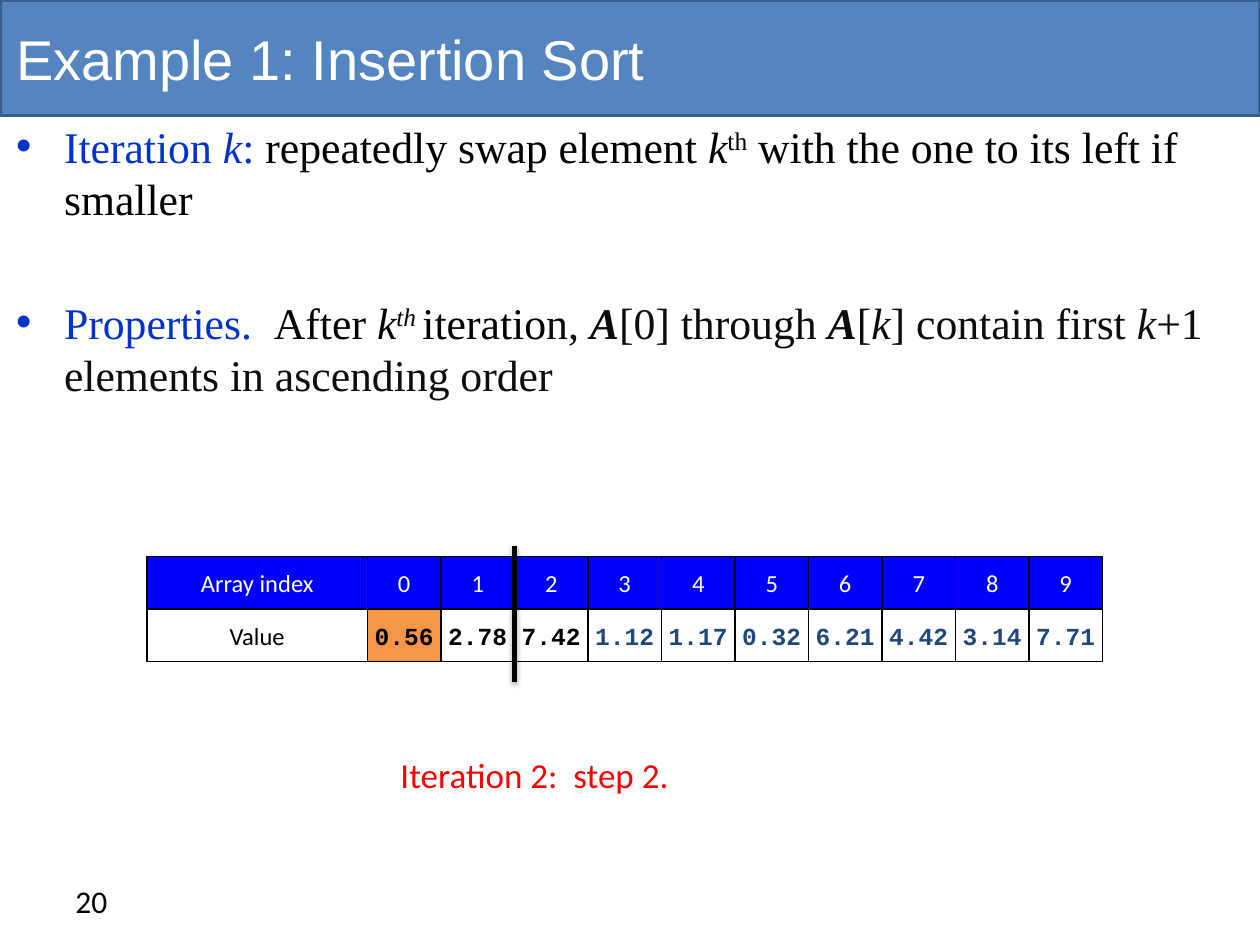
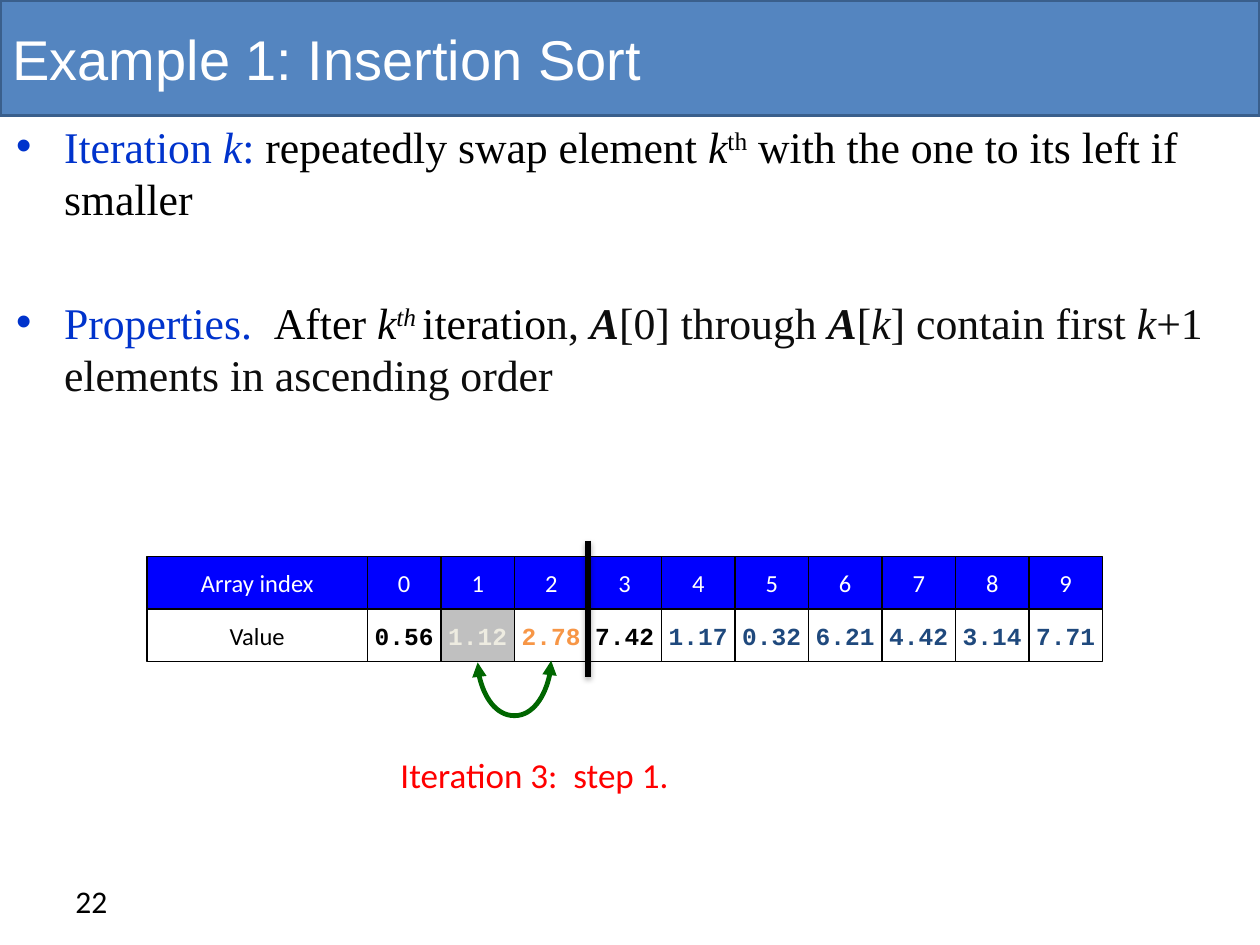
from lxml import etree
from pptx import Presentation
from pptx.dml.color import RGBColor
from pptx.enum.shapes import MSO_CONNECTOR as Connector, MSO_SHAPE as Shape
from pptx.enum.text import MSO_ANCHOR as Anchor, PP_ALIGN as Align
from pptx.oxml import parse_xml
from pptx.oxml.ns import nsdecls, qn
from pptx.util import Inches, Pt

WHITE = RGBColor(0xFF, 0xFF, 0xFF)
BLACK = RGBColor(0x00, 0x00, 0x00)
INK = RGBColor(0x0D, 0x0D, 0x0D)
BAND_BLUE = RGBColor(0x54, 0x85, 0xC0)
BAND_EDGE = RGBColor(0x3A, 0x5F, 0x8C)
TERM_BLUE = RGBColor(0x00, 0x33, 0xCC)
HEADER_BLUE = RGBColor(0x00, 0x00, 0xFF)
UNSORTED_BLUE = RGBColor(0x1F, 0x49, 0x7D)
ORANGE = RGBColor(0xF7, 0x96, 0x46)
GREY = RGBColor(0xC0, 0xC0, 0xC0)
CREAM = RGBColor(0xEE, 0xEC, 0xE1)
GREEN = RGBColor(0x00, 0x66, 0x00)
RED = RGBColor(0xFF, 0x00, 0x00)

BAND_HEIGHT = 11 / 12
LABEL_WIDTH = 1.75
CELL_WIDTH = 7 / 12
ROW_HEIGHT = 5 / 12
ARRAY_LEFT, ARRAY_TOP = 7 / 6, 53 / 12
DIVIDER_HEIGHT = 1.08
SWAP_DEPTH = 0.44

ITERATION_RULE = [
    ("Iteration ", TERM_BLUE, ""), ("k", TERM_BLUE, "i"), (": ", TERM_BLUE, ""),
    ("repeatedly swap element ", BLACK, ""), ("k", BLACK, "i"), ("th", BLACK, "^"),
    (" with the one to its left if smaller", BLACK, ""),
]
PROPERTIES = [
    ("Properties.  ", TERM_BLUE, ""), ("After ", BLACK, ""), ("k", BLACK, "i"),
    ("th ", BLACK, "i^"), ("iteratio", BLACK, ""), ("n, ", INK, ""), ("A", INK, "bi"),
    ("[0] through ", INK, ""), ("A", INK, "bi"), ("[", INK, ""), ("k", INK, "i"),
    ("] contain first ", INK, ""), ("k", INK, "i"),
    ("+1 elements in ascending order", INK, ""),
]


def style_font(font, name, size, color, bold=False, italic=False):
    font.name = name
    font.size = Pt(size)
    font.color.rgb = color
    font.bold = bold
    font.italic = italic


def add_label(slide, box, text, name, size, color, anchor=Anchor.TOP):
    label = slide.shapes.add_textbox(*map(Inches, box))
    frame = label.text_frame
    frame.word_wrap = True
    frame.vertical_anchor = anchor
    frame.text = text
    style_font(frame.paragraphs[0].runs[0].font, name, size, color)


def add_box(slide, box, fill, edge, edge_width):
    rect = slide.shapes.add_shape(Shape.RECTANGLE, *map(Inches, box))
    rect.shadow.inherit = False
    if fill is None:
        rect.fill.background()
    else:
        rect.fill.solid()
        rect.fill.fore_color.rgb = fill
    rect.line.color.rgb = edge
    rect.line.width = Pt(edge_width)
    return rect


def add_title_band(slide, title_left):
    add_box(slide, (0, 0, 10, BAND_HEIGHT), BAND_BLUE, BAND_EDGE, 2)
    add_label(slide, (title_left, 0, 10 - title_left, BAND_HEIGHT),
              "Example 1: Insertion Sort", "Arial", 32, WHITE, Anchor.MIDDLE)


def add_bullet(paragraph, pieces):
    properties = paragraph._p.get_or_add_pPr()
    properties.set("marL", str(Inches(0.38)))
    properties.set("indent", str(-Inches(0.38)))
    etree.SubElement(properties, qn("a:buFont")).set("typeface", "Arial")
    etree.SubElement(properties, qn("a:buChar")).set("char", "•")
    for text, color, marks in pieces:
        run = paragraph.add_run()
        run.text = text
        style_font(run.font, "Times New Roman", 25, color, "b" in marks, "i" in marks)
        if "^" in marks:
            run._r.get_or_add_rPr().set("baseline", "30000")


def add_explanation(slide, box):
    frame = slide.shapes.add_textbox(*map(Inches, box)).text_frame
    frame.word_wrap = True
    add_bullet(frame.paragraphs[0], ITERATION_RULE)
    properties = frame.add_paragraph()
    properties.space_before = Pt(40.5)
    add_bullet(properties, PROPERTIES)


def add_cell(slide, box, text, fill, name, color, bold=False):
    cell = add_box(slide, box, fill, BLACK, 0.75)
    frame = cell.text_frame
    frame.word_wrap = False
    frame.vertical_anchor = Anchor.MIDDLE
    frame.text = text
    frame.paragraphs[0].alignment = Align.CENTER
    style_font(frame.paragraphs[0].runs[0].font, name, 14, color, bold)
    return cell


def add_array(slide, left, top, values, sorted_count, highlights):
    value_top = top + ROW_HEIGHT
    add_cell(slide, (left, top, LABEL_WIDTH, ROW_HEIGHT),
             "Array index", HEADER_BLUE, "Calibri", WHITE)
    add_cell(slide, (left, value_top, LABEL_WIDTH, ROW_HEIGHT),
             "Value", WHITE, "Calibri", BLACK)
    value_cells = []
    for index, value in enumerate(values):
        cell_left = left + LABEL_WIDTH + index * CELL_WIDTH
        add_cell(slide, (cell_left, top, CELL_WIDTH, ROW_HEIGHT),
                 str(index), HEADER_BLUE, "Calibri", WHITE)
        usual = (WHITE, BLACK if index <= sorted_count else UNSORTED_BLUE)
        fill, color = highlights.get(index, usual)
        value_cells.append(add_cell(slide, (cell_left, value_top, CELL_WIDTH, ROW_HEIGHT),
                                    value, fill, "Courier New", color, True))
    return value_cells


def add_divider(slide, x, top):
    divider = slide.shapes.add_connector(
        Connector.STRAIGHT, Inches(x), Inches(top), Inches(x), Inches(top + DIVIDER_HEIGHT))
    divider.line.color.rgb = BLACK
    divider.line.width = Pt(3)
    divider._element.spPr.append(parse_xml(
        f'<a:effectLst {nsdecls("a")}>'
        f'<a:outerShdw blurRad="{Pt(3.1)}" dist="{Pt(1.8)}" dir="5400000" rotWithShape="0">'
        '<a:srgbClr val="000000"><a:alpha val="35000"/></a:srgbClr>'
        '</a:outerShdw></a:effectLst>'))


def add_swap_arrow(slide, first, second):
    thickness = Pt(1)
    span = second.left - first.left
    bottom = first.top + first.height
    arrow = slide.shapes.add_connector(Connector.CURVE, 0, 0, thickness, span)
    arrow.begin_connect(first, 2)
    arrow.end_connect(second, 2)
    arrow.left = second.left - thickness // 2
    arrow.top = bottom - span // 2
    arrow.width, arrow.height = thickness, span
    properties = arrow._element.spPr
    properties.xfrm.set("rot", "16200000")
    properties.xfrm.set("flipH", "1")
    guide = etree.SubElement(properties.prstGeom.get_or_add_avLst(), qn("a:gd"))
    guide.set("name", "adj1")
    guide.set("fmla", f"val {round(Inches(SWAP_DEPTH) / thickness * 100000)}")
    arrow.line.color.rgb = GREEN
    arrow.line.width = Pt(2.75)
    for end in ("a:headEnd", "a:tailEnd"):
        etree.SubElement(arrow.line._get_or_add_ln(), qn(end)).set("type", "triangle")
    etree.SubElement(properties, qn("a:effectLst"))


def add_sort_slide(deck, number, title_left, step, values, sorted_count, highlights,
                   divider_top, swap=None):
    slide = deck.slides.add_slide(deck.slide_layouts[6])
    add_title_band(slide, title_left)
    add_label(slide, (0.5, 6.95, 2.33, 0.4), number, "Calibri", 18, BLACK)
    add_label(slide, (3.08, 5.93, 4.08, 0.44), step, "Calibri", 20, RED)
    value_cells = add_array(slide, ARRAY_LEFT, ARRAY_TOP, values, sorted_count, highlights)
    if swap:
        add_swap_arrow(slide, *(value_cells[index] for index in swap))
    add_explanation(slide, (0.03, 0.9, 10.08, 2.52))
    add_divider(slide, ARRAY_LEFT + LABEL_WIDTH + sorted_count * CELL_WIDTH, divider_top)


def main():
    deck = Presentation()
    deck.slide_width, deck.slide_height = Inches(10), Inches(7.5)
    unsorted_tail = ["1.17", "0.32", "6.21", "4.42", "3.14", "7.71"]
    add_sort_slide(deck, "20", 0.03, "Iteration 2:  step 2.",
                   ["0.56", "2.78", "7.42", "1.12"] + unsorted_tail, 2,
                   {0: (ORANGE, BLACK), 2: (None, BLACK)}, 4.33)
    add_sort_slide(deck, "22", 0, "Iteration 3:  step 1.",
                   ["0.56", "1.12", "2.78", "7.42"] + unsorted_tail, 3,
                   {0: (None, BLACK), 1: (GREY, CREAM), 2: (WHITE, ORANGE), 3: (None, BLACK)},
                   4.29, swap=(1, 2))
    deck.save("out.pptx")


if __name__ == "__main__":
    main()
